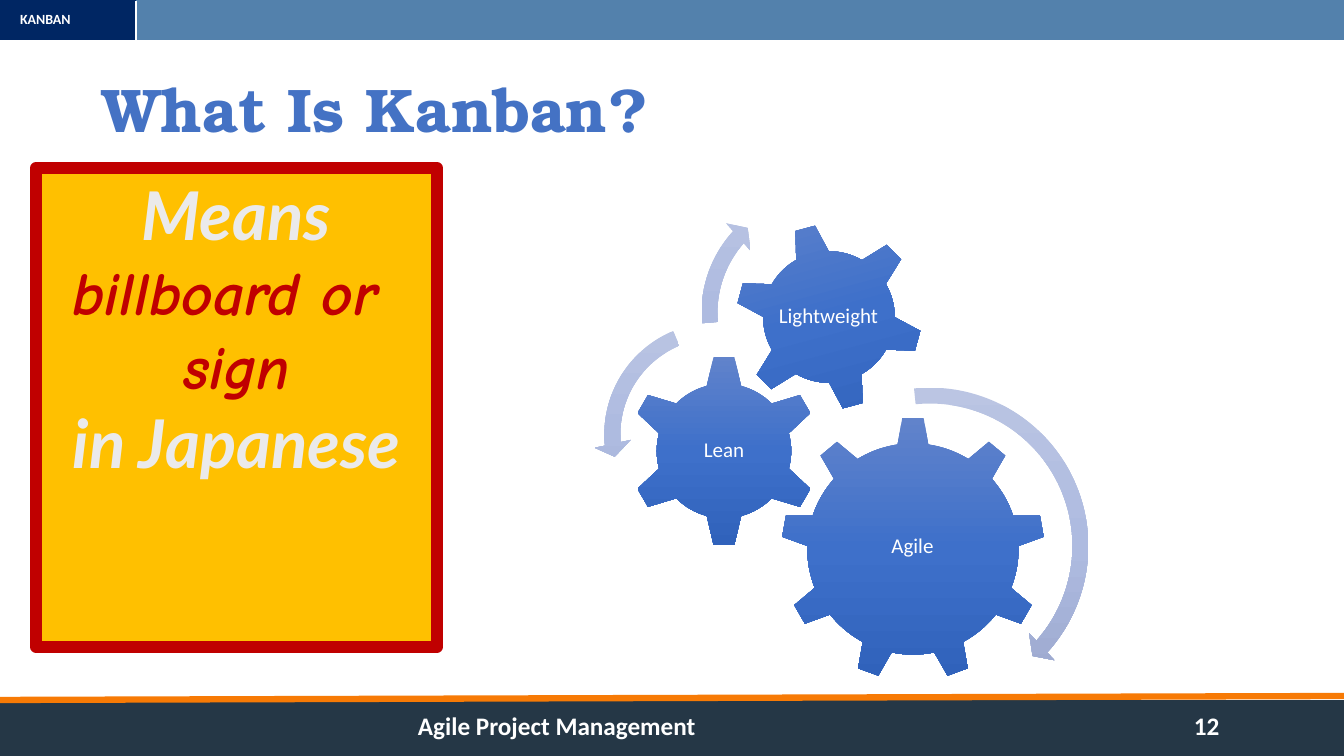
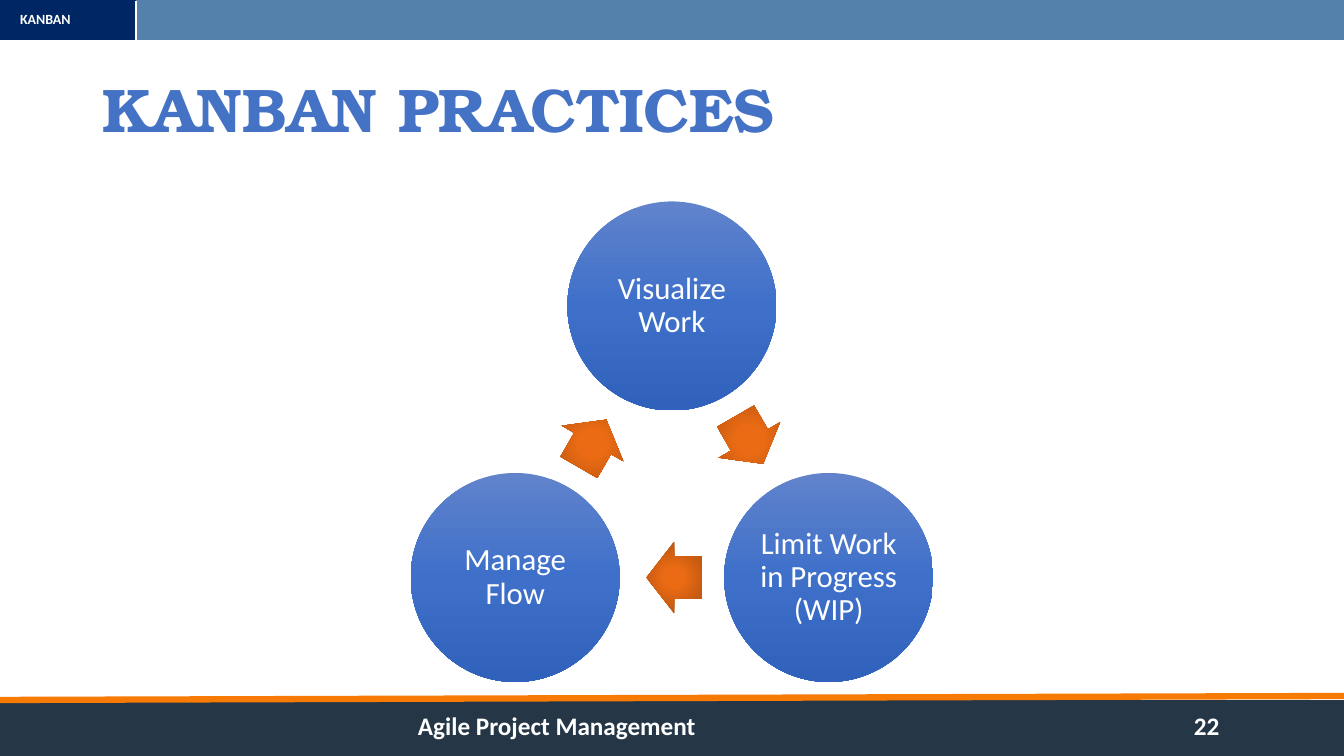
from dataclasses import dataclass
from math import cos, radians, sin

from pptx import Presentation
from pptx import util as u
from pptx.dml.color import RGBColor
from pptx.enum import shapes, text
from pptx.oxml import parse_xml
from pptx.oxml.ns import nsdecls, qn

PX = 914400 / 100.8
WIDTH, HEIGHT = 1344, 756

WHITE = RGBColor(0xFF, 0xFF, 0xFF)
PALE = RGBColor(0xEB, 0xEA, 0xEA)
TITLE_BLUE = RGBColor(0x44, 0x72, 0xC4)
BAND_BLUE = RGBColor(0x53, 0x81, 0xAC)
NAVY = RGBColor(0x00, 0x26, 0x63)
SLATE = RGBColor(0x25, 0x37, 0x46)
ORANGE = RGBColor(0xF7, 0x7A, 0x05)
AMBER = RGBColor(0xFF, 0xC0, 0x00)
RED = RGBColor(0xC0, 0x00, 0x00)

LINEAR = '<a:lin ang="5400000" scaled="0"/>'
RADIAL = ('<a:path path="circle"><a:fillToRect l="50000" t="50000" '
          'r="50000" b="50000"/></a:path>')


@dataclass(frozen=True)
class Gradient:
    stops: tuple
    direction: str = LINEAR


BLUE_SHADE = Gradient(((0, RGBColor(0x61, 0x83, 0xCB)),
                       (50, RGBColor(0x3E, 0x70, 0xCA)),
                       (100, RGBColor(0x30, 0x62, 0xBB))))
LILAC_SHADE = Gradient(((0, RGBColor(0xBB, 0xC5, 0xE3)),
                        (50, RGBColor(0xAE, 0xBB, 0xE0)),
                        (100, RGBColor(0x98, 0xA4, 0xCB))))
ORANGE_SHADE = Gradient(((0, RGBColor(0xEA, 0x6B, 0x14)),
                         (23, RGBColor(0xEA, 0x6B, 0x14)),
                         (69, RGBColor(0xC5, 0x5A, 0x11)),
                         (97, RGBColor(0xB8, 0x54, 0x10))), RADIAL)


@dataclass(frozen=True)
class Type:
    size: int
    color: RGBColor = WHITE
    name: str = "Calibri"
    bold: bool = False
    italic: bool = False


TITLE = Type(44, TITLE_BLUE, "TeX Gyre Bonum", bold=True)
FOOTER = Type(18, bold=True)
SECTION = Type(10, bold=True)
GEAR_LABEL = Type(15)
STEP_LABEL = Type(22)
PLAIN_WORD = Type(48, PALE, "Lato", bold=True, italic=True)
KEY_WORD = Type(44, RED, "Comic Neue", bold=True, italic=True)

KIND = shapes.MSO_SHAPE
ANCHOR = text.MSO_ANCHOR
ALIGN = text.PP_ALIGN


def emu(*lengths):
    return [u.Emu(round(length * PX)) for length in lengths]


class Deck:
    """Holds the presentation, its style and the slide being filled."""

    def __init__(self):
        self.prs = Presentation()
        self.prs.slide_width, self.prs.slide_height = emu(WIDTH, HEIGHT)
        self.slide = None

    def new_slide(self, title, number):
        layout = self.prs.slide_layouts.get_by_name("Title Only")
        self.slide = self.prs.slides.add_slide(layout)
        self.bands(number)
        heading = self.slide.shapes.title
        heading.left, heading.top, heading.width, heading.height = emu(93, 40, 1159, 146)
        self.set_text(heading.text_frame, [(title, TITLE)], ALIGN.LEFT,
                      spacing=0.9, inset=(10, 5))

    def bands(self, number):
        self.shape(KIND.RECTANGLE, 0, 700, WIDTH, 56, SLATE)
        self.shape(KIND.RECTANGLE, 0, 0, WIDTH, 40, BAND_BLUE)
        self.shape(KIND.RECTANGLE, 0, 0, 136, 40, NAVY)
        self.line(136, 1, 136, 43, WHITE, 1.5)
        self.line(0, 700, WIDTH, 696, ORANGE, 4.5)
        self.label("KANBAN", 20, 10, 94, 17, SECTION, ALIGN.LEFT)
        self.label("Agile Project Management", 418, 705, 400, 40, FOOTER, ALIGN.LEFT)
        self.label(str(number), 1194, 705, 60, 40, FOOTER, ALIGN.LEFT)

    def shape(self, kind, x, y, w, h, fill, turn=0, adjust=(), border=None):
        item = self.slide.shapes.add_shape(kind, *emu(x, y, w, h))
        item.shadow.inherit = False
        item.rotation = turn
        for index, value in enumerate(adjust):
            item.adjustments[index] = value
        if isinstance(fill, Gradient):
            self.shade(item, fill)
        else:
            item.fill.solid()
            item.fill.fore_color.rgb = fill
        if border:
            item.line.color.rgb, item.line.width = border[0], u.Pt(border[1])
        else:
            item.line.fill.background()
        return item

    def shade(self, item, gradient):
        stops = "".join(f'<a:gs pos="{pos * 1000}"><a:srgbClr val="{color}"/></a:gs>'
                        for pos, color in gradient.stops)
        item.fill.background()
        props = item.element.spPr
        props.replace(props.find(qn("a:noFill")), parse_xml(
            f'<a:gradFill {nsdecls("a")} rotWithShape="1"><a:gsLst>{stops}</a:gsLst>'
            f'{gradient.direction}</a:gradFill>'))

    def line(self, x1, y1, x2, y2, color, width):
        rule = self.slide.shapes.add_connector(
            shapes.MSO_CONNECTOR.STRAIGHT, *emu(x1, y1, x2, y2))
        rule.line.color.rgb, rule.line.width = color, u.Pt(width)
        rule.element.spPr.append(parse_xml(f'<a:effectLst {nsdecls("a")}/>'))

    def label(self, words, x, y, w, h, style, align=ALIGN.CENTER, spacing=1.0):
        box = self.slide.shapes.add_textbox(*emu(x, y, w, h))
        self.set_text(box.text_frame, [(words, style)], align, spacing=spacing)

    def set_text(self, frame, paragraphs, align=ALIGN.CENTER, anchor=ANCHOR.MIDDLE,
                 spacing=1.0, inset=(0, 0)):
        """Fill a frame with (words, type) paragraphs; a newline breaks the line."""
        frame.word_wrap = True
        frame.auto_size = text.MSO_AUTO_SIZE.NONE
        frame.vertical_anchor = anchor
        frame.margin_left, frame.margin_top = emu(*inset)
        frame.margin_right, frame.margin_bottom = emu(*inset)
        for index, (words, style) in enumerate(paragraphs):
            paragraph = frame.add_paragraph() if index else frame.paragraphs[0]
            paragraph.alignment, paragraph.line_spacing = align, spacing
            for row, part in enumerate(words.split("\n")):
                if row:
                    paragraph.add_line_break()
                run = paragraph.add_run()
                run.text = part
                font = run.font
                font.name, font.size = style.name, u.Pt(style.size)
                font.bold, font.italic = style.bold, style.italic
                font.color.rgb = style.color

    def gear(self, kind, words, x, y, size, turn=0, lift=0):
        """Draw a gear with an upright label; lift raises the label."""
        self.shape(kind, x, y, size, size, BLUE_SHADE, turn)
        side = round(size * 4 / 7)
        margin = (size - side) // 2
        self.label(words, x + margin, y + margin - lift, side, side, GEAR_LABEL, spacing=0.9)

    def cycle(self, steps, cx, cy, radius, size):
        """Set steps clockwise on a ring, with an arrow from each to the next."""
        arrow_w, arrow_h, setback = 55, 71, 2
        step_angle = 360 / len(steps)
        for index, words in enumerate(steps):
            angle = index * step_angle - 90
            x = cx + radius * cos(radians(angle)) - size / 2
            y = cy + radius * sin(radians(angle)) - size / 2
            circle = self.shape(KIND.OVAL, x, y, size, size, BLUE_SHADE)
            self.set_text(circle.text_frame, [(words, STEP_LABEL)], spacing=0.9, inset=(3, 3))

            middle = angle + step_angle / 2
            turn = middle + 90
            reach = radius * cos(radians(step_angle / 2))
            x = cx + reach * cos(radians(middle)) - setback * cos(radians(turn))
            y = cy + reach * sin(radians(middle)) - setback * sin(radians(turn))
            self.shape(KIND.RIGHT_ARROW, x - arrow_w / 2, y - arrow_h / 2,
                       arrow_w, arrow_h, ORANGE_SHADE, turn, (0.6, 0.5))


def definition_slide(deck):
    deck.new_slide("What Is Kanban?", 12)
    deck.gear(KIND.GEAR_9, "Agile", 781, 417, 264, lift=2)
    deck.gear(KIND.GEAR_6, "Lean", 628, 355, 192)
    deck.gear(KIND.GEAR_6, "Lightweight", 735, 223, 188, turn=345)
    for kind, x, y, size, adjust in (
        (KIND.CIRCULAR_ARROW, 761, 377, 338, (0.047, 2.99, 25.198, 158.534, 0.055)),
        (KIND.LEFT_CIRCULAR_ARROW, 594, 312, 245, (0.065, 4.3, 104.891, 148.378, 0.075)),
        (KIND.CIRCULAR_ARROW, 691, 181, 264, (0.06, 3.941, 133.138, 105.082, 0.07)),
    ):
        deck.shape(kind, x, y, size, size, LILAC_SHADE, adjust=adjust)
    meaning = deck.shape(KIND.RECTANGLE, 36, 168, 401, 479, AMBER, border=(RED, 8.25))
    deck.set_text(meaning.text_frame,
                  [("Means", PLAIN_WORD), ("billboard or \nsign", KEY_WORD),
                   ("in Japanese", PLAIN_WORD)],
                  anchor=ANCHOR.TOP, inset=(10, 5))


def practices_slide(deck):
    deck.new_slide("KANBAN PRACTICES", 22)
    deck.cycle(["Visualize Work", "Limit Work in Progress (WIP)", "Manage Flow"],
               672, 487, 181, 209)


def main():
    deck = Deck()
    definition_slide(deck)
    practices_slide(deck)
    deck.prs.save("out.pptx")


if __name__ == "__main__":
    main()
